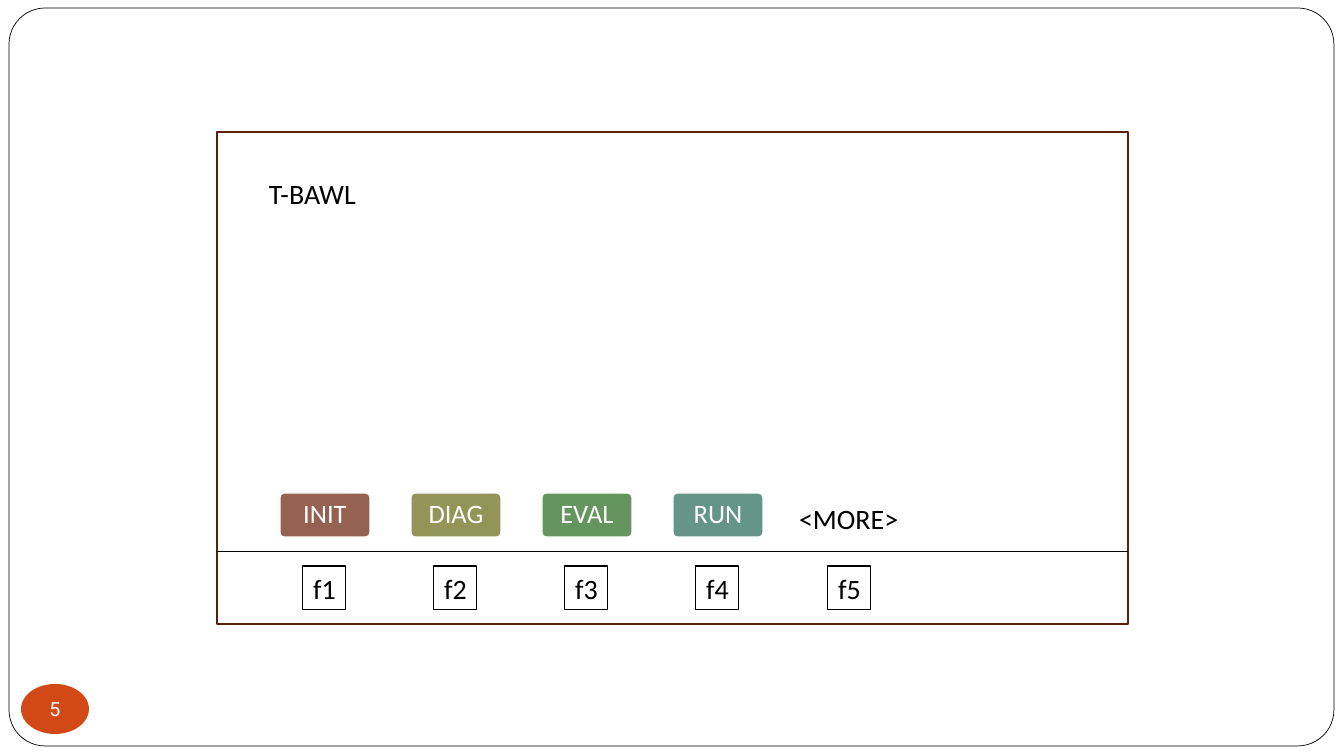
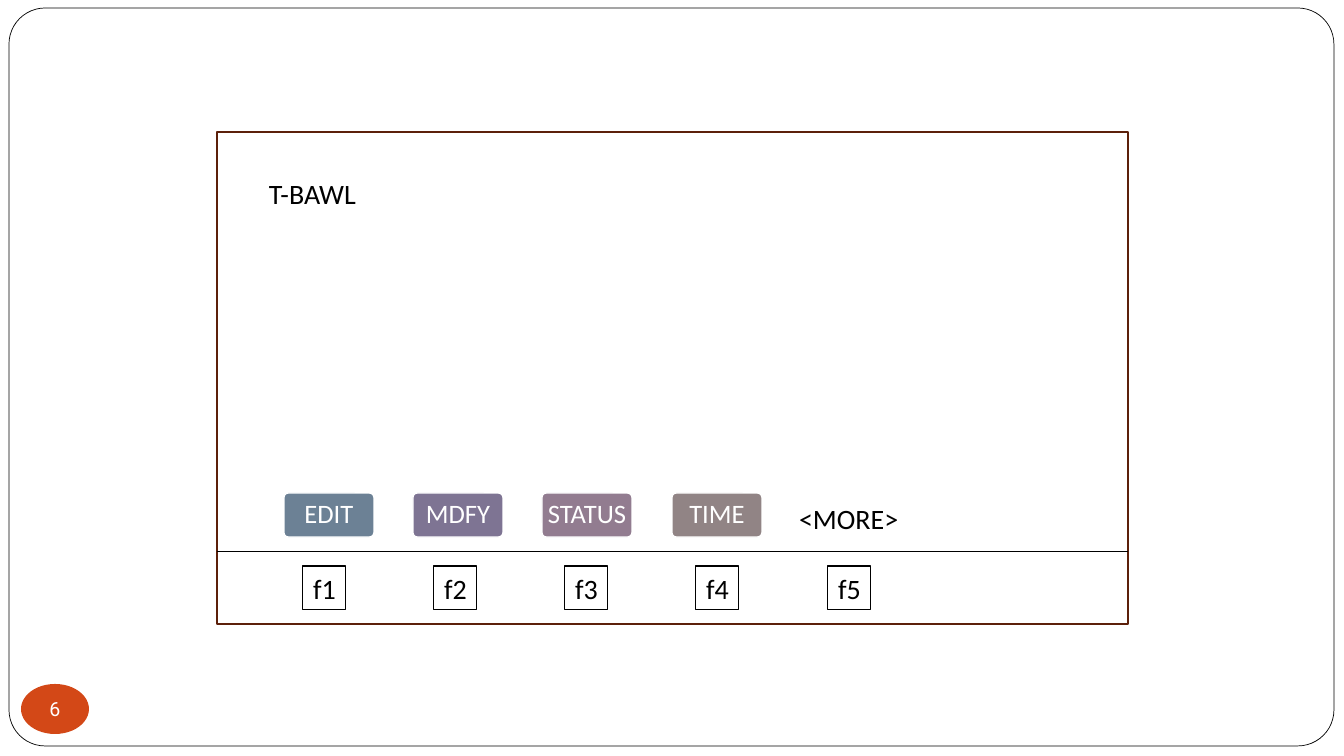
from lxml.etree import SubElement
from pptx import Presentation
from pptx.dml.color import RGBColor
from pptx.enum.shapes import MSO_CONNECTOR, MSO_SHAPE
from pptx.enum.text import MSO_ANCHOR, MSO_AUTO_SIZE, PP_ALIGN
from pptx.oxml.ns import qn
from pptx.util import Emu, Pt

SCREENS = [
    {"page": "5", "span": (280, 673),
     "keys": [("INIT", "956251"), ("DIAG", "929557"),
              ("EVAL", "65955E"), ("RUN", "659586")]},
    {"page": "6", "span": (284, 672),
     "keys": [("EDIT", "6C8195"), ("MDFY", "7E7493"),
              ("STATUS", "927C90"), ("TIME", "918485")]},
]
TITLE = "T-BAWL"
MORE = "<MORE>"
FUNCS = ["f1", "f2", "f3", "f4", "f5"]
COLORS = {"ink": "000000", "paper": "FFFFFF", "rim": "5C200A", "badge": "D34817"}

SCALE = 914400 / 100.8
WIDTH, HEIGHT = 1344, 756
FRAME = (9, 8, 1325, 738)
BADGE = (21, 684, 68, 50)
SCREEN = (217, 132, 911, 492)
HEAD = (259, 171, 826, 44)
LABEL = (789, 496, 121, 44)
RULE = 552
SPAN = (303, 828)


def px(n):
    return Emu(round(n * SCALE))


def rgb(name):
    return RGBColor.from_string(COLORS.get(name, name))


def spread(span, count):
    start, end = span
    return [start + (end - start) * i // (count - 1) for i in range(count)]


def write(shape, text, size, color, align=PP_ALIGN.CENTER, font="Calibri",
          inset=(0, 0), wrap=False):
    frame = shape.text_frame
    frame.text = text
    frame.word_wrap = wrap
    frame.auto_size = MSO_AUTO_SIZE.NONE
    frame.vertical_anchor = MSO_ANCHOR.MIDDLE
    frame.margin_left = frame.margin_right = px(inset[0])
    frame.margin_top = frame.margin_bottom = px(inset[1])
    para = frame.paragraphs[0]
    para.alignment = align
    para.font.name = font
    para.font.size = Pt(size)
    para.font.color.rgb = rgb(color)
    return para


def draw(slide, kind, box, fill=None, line=None, width=1, round_by=None):
    shape = slide.shapes.add_shape(kind, *map(px, box))
    shape.shadow.inherit = False
    if round_by is not None:
        shape.adjustments[0] = round_by
    if fill:
        shape.fill.solid()
        shape.fill.fore_color.rgb = rgb(fill)
    else:
        shape.fill.background()
    if line:
        shape.line.color.rgb = rgb(line)
        shape.line.width = Pt(width)
    else:
        shape.line.fill.background()
    return shape


def add_frame(slide):
    frame = draw(slide, MSO_SHAPE.ROUNDED_RECTANGLE, FRAME,
                 "paper", "ink", 0.5, 0.049)
    frame.element.nvSpPr.cNvPr.set("id", "99")
    slide.slide_layout.shapes.element.append(frame.element)


def add_rule(slide):
    left, _, width, _ = SCREEN
    rule = slide.shapes.add_connector(
        MSO_CONNECTOR.STRAIGHT, px(left), px(RULE), px(left + width), px(RULE))
    rule.line.color.rgb = rgb("ink")
    rule.line.width = Pt(0.75)
    SubElement(rule.element.spPr, qn("a:effectLst"))


def add_screen(slide, page, span, keys):
    title = slide.shapes.title
    title.left, title.top, title.width, title.height = map(px, HEAD)
    write(title, TITLE, 20, "ink", PP_ALIGN.LEFT, inset=(10, 5), wrap=True)

    badge = draw(slide, MSO_SHAPE.OVAL, BADGE, "badge")
    write(badge, page, 14, "paper", font="Roboto")

    draw(slide, MSO_SHAPE.RECTANGLE, SCREEN, line="rim")
    add_rule(slide)

    for x, (text, color) in zip(spread(span, len(keys)), keys):
        key = draw(slide, MSO_SHAPE.ROUNDED_RECTANGLE, (x, 493, 90, 44),
                   color, "paper", 1, 0.1)
        write(key, text, 19, "paper", inset=(5, 4)).line_spacing = 0.9

    label = slide.shapes.add_textbox(*map(px, LABEL))
    write(label, MORE, 20, "ink", PP_ALIGN.LEFT, inset=(10, 5))

    for x, text in zip(spread(SPAN, len(FUNCS)), FUNCS):
        func = draw(slide, MSO_SHAPE.RECTANGLE, (x, 566, 43, 44),
                    line="ink", width=0.75)
        write(func, text, 20, "ink", inset=(10, 5))


def main():
    deck = Presentation()
    deck.slide_width, deck.slide_height = px(WIDTH), px(HEIGHT)
    layout = deck.slide_layouts[5]
    for screen in SCREENS:
        slide = deck.slides.add_slide(layout)
        if len(deck.slides) == 1:
            add_frame(slide)
        add_screen(slide, **screen)
    deck.save("out.pptx")


if __name__ == "__main__":
    main()
